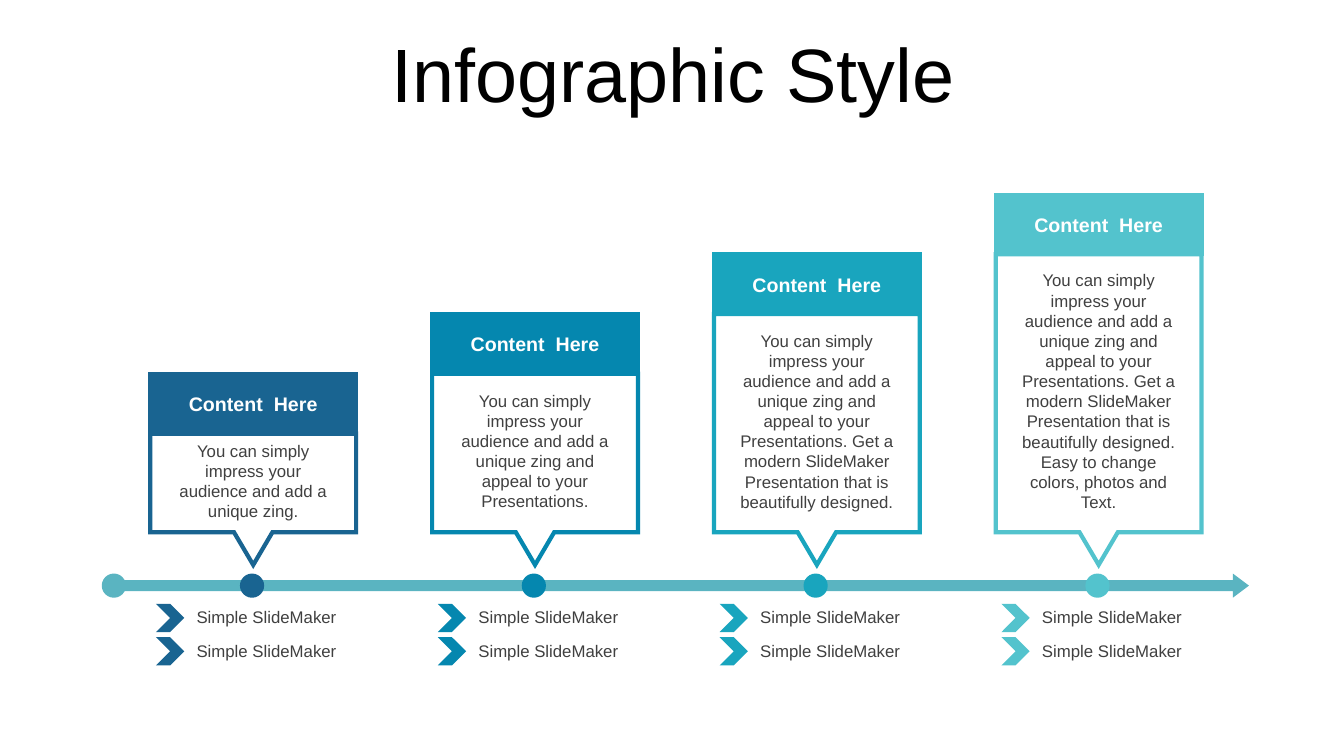
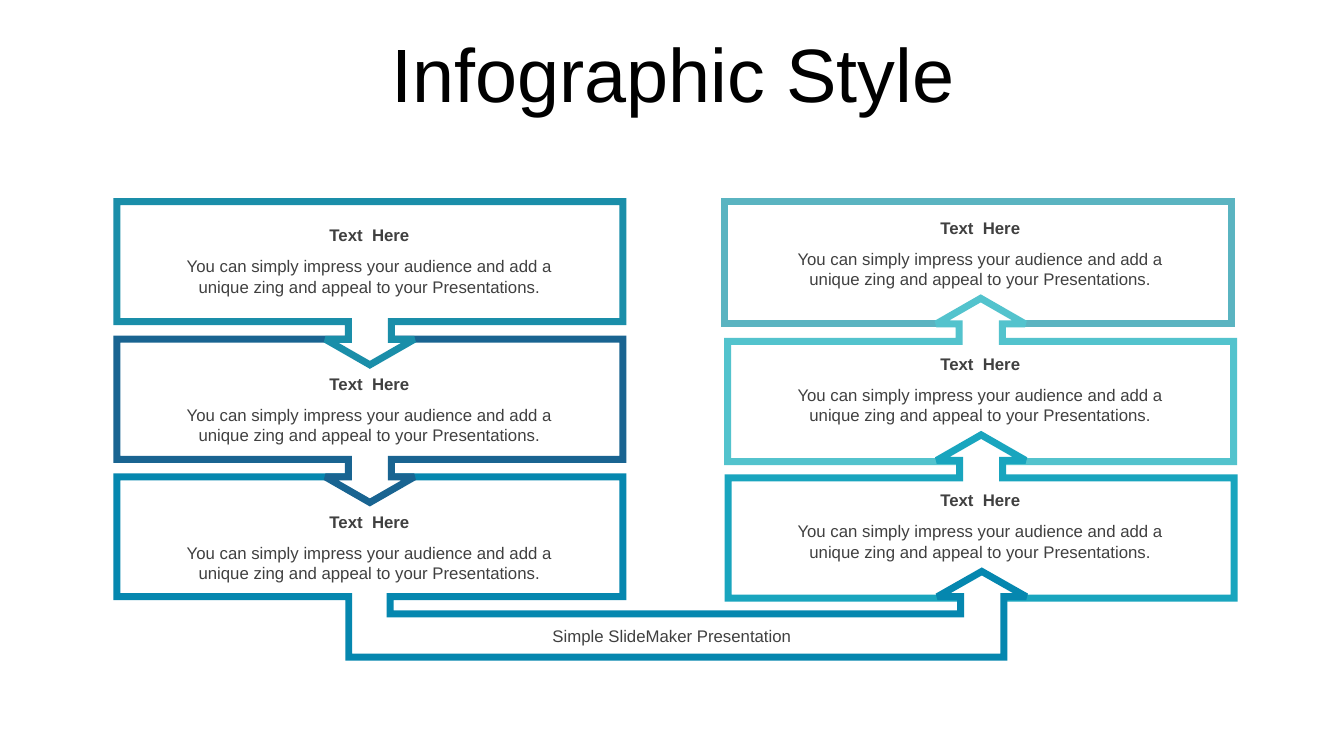
from dataclasses import dataclass

from lxml.etree import SubElement
from pptx import Presentation
from pptx.dml.color import RGBColor
from pptx.enum.shapes import MSO_SHAPE as Preset
from pptx.enum.text import MSO_ANCHOR as Anchor, PP_ALIGN as Align
from pptx.oxml.ns import qn
from pptx.util import Pt


@dataclass(frozen=True)
class Theme:
    font: str = "Arial"
    navy: str = "196491"
    blue: str = "0587AF"
    ocean: str = "1A8EA9"
    teal: str = "19A5BE"
    aqua: str = "53C3CD"
    mist: str = "5AB4C1"
    ink: str = "404040"
    black: str = "000000"
    white: str = "FFFFFF"
    title_size: int = 54
    heading_size: int = 14
    body_size: int = 12
    card_line: int = 3
    flow_line: int = 5


THEME = Theme()

PITCH = "You can simply impress your audience and add a unique zing"
APPEAL = PITCH + " and appeal to your Presentations."
DESIGNED = APPEAL + " Get a modern SlideMaker Presentation that is beautifully designed."
EASY = DESIGNED + " Easy to change colors, photos and Text."
STAGES = [
    (THEME.navy, PITCH + "."),
    (THEME.blue, APPEAL),
    (THEME.teal, DESIGNED),
    (THEME.aqua, EASY),
]

CARD_LEFT, CARD_PITCH, CARD_WIDTH = 107.4, 201.3, 147
HEADER_TOP, HEADER_RISE, HEADER_HEIGHT = 267.2, 42.7, 42.5
CARD_BOTTOM, POINTER_TIP, POINTER_HALF = 380.2, 403.5, 13.7
AXIS_TOP, AXIS_HEIGHT = 409.7, 17.3

FLOW_LEFT, FLOW_RIGHT = 83.5, 519.8
FLOW_WIDTH, FLOW_HEIGHT = 361.4, 116.6
FLOW_TOP, FLOW_PITCH = 144, 98.3
CALLOUT_ADJUSTMENTS = (0.264, 0.272, 0.156, 0.736)


def paint(shape, fill=None, line=None, weight=0):
    """Set fill and mitred outline; None leaves either one out."""
    shape.shadow.inherit = False
    if fill:
        shape.fill.solid()
        shape.fill.fore_color.rgb = RGBColor.from_string(fill)
    else:
        shape.fill.background()
    if line:
        shape.line.color.rgb = RGBColor.from_string(line)
        shape.line.width = Pt(weight)
        SubElement(shape.line._get_or_add_ln(), qn("a:miter"), lim="800000")
    else:
        shape.line.fill.background()
    return shape


def add_preset(slide, preset, box, adjustments=(), **look):
    shape = slide.shapes.add_shape(preset, *map(Pt, box))
    for index, value in enumerate(adjustments):
        shape.adjustments[index] = value
    return paint(shape, **look)


def add_outline(slide, points, **look):
    start, *rest = [(Pt(x), Pt(y)) for x, y in points]
    builder = slide.shapes.build_freeform(*start)
    builder.add_line_segments(rest, close=True)
    return paint(builder.convert_to_shape(), **look)


def write(paragraph, text, size=THEME.body_size, color=THEME.ink, bold=False):
    paragraph.alignment = Align.CENTER
    run = paragraph.add_run()
    run.text = text
    run.font.name = THEME.font
    run.font.size = Pt(size)
    run.font.bold = bold
    run.font.color.rgb = RGBColor.from_string(color)


def add_text(slide, box, text, anchor=Anchor.TOP, **style):
    frame = slide.shapes.add_textbox(*map(Pt, box)).text_frame
    frame.word_wrap = True
    frame.vertical_anchor = anchor
    write(frame.paragraphs[0], text, **style)
    return frame


def add_titled_slide(deck, title):
    slide = deck.slides.add_slide(deck.slide_layouts[6])
    frame = add_text(slide, (25.2, 22.3, 911.5, 66.2), title, Anchor.MIDDLE,
                     size=THEME.title_size, color=THEME.black)
    frame.paragraphs[0].line_spacing = 0.9
    frame.paragraphs[0].space_before = Pt(10)
    return slide


def add_card(slide, left, top, color, text):
    """Draw a header band over a framed text that points down at the axis."""
    right, center = left + CARD_WIDTH, left + CARD_WIDTH / 2
    body_top = top + HEADER_HEIGHT
    outline = [
        (left, body_top), (right, body_top), (right, CARD_BOTTOM),
        (center + POINTER_HALF, CARD_BOTTOM), (center, POINTER_TIP),
        (center - POINTER_HALF, CARD_BOTTOM), (left, CARD_BOTTOM),
    ]
    add_outline(slide, outline, line=color, weight=THEME.card_line)
    header = add_preset(slide, Preset.RECTANGLE, (left, top, CARD_WIDTH, HEADER_HEIGHT),
                        fill=color, line=color, weight=THEME.card_line)
    header.text_frame.vertical_anchor = Anchor.MIDDLE
    write(header.text_frame.paragraphs[0], "Content  Here",
          THEME.heading_size, THEME.white, bold=True)
    text_width = 125.4
    add_text(slide, (center - text_width / 2, body_top, text_width, 377 - body_top),
             text, Anchor.MIDDLE)


def add_milestone(slide, left, color):
    add_preset(slide, Preset.OVAL, (left, AXIS_TOP, AXIS_HEIGHT, AXIS_HEIGHT), fill=color)


def add_chevron_item(slide, left, top, color):
    add_preset(slide, Preset.CHEVRON, (left, top, 20.2, 20.2), fill=color)
    add_text(slide, (left + 19.6, top - 1.2, 118.8, 21.8), "Simple SlideMaker")


def build_timeline(deck):
    slide = add_titled_slide(deck, "Infographic Style")
    add_preset(slide, Preset.RIGHT_ARROW, (87.1, AXIS_TOP, 805, AXIS_HEIGHT),
               (0.451, 0.666), fill=THEME.mist)
    add_milestone(slide, 72.7, THEME.mist)
    for step, (color, text) in enumerate(STAGES):
        left = CARD_LEFT + step * CARD_PITCH
        add_card(slide, left, HEADER_TOP - step * HEADER_RISE, color, text)
        add_milestone(slide, left + 64, color)
        for row in range(2):
            add_chevron_item(slide, left + 4, 431.3 + row * 23.8, color)


def add_flow_box(slide, left, top, color, upward=False):
    box = add_preset(slide, Preset.DOWN_ARROW_CALLOUT,
                     (left, top, FLOW_WIDTH, FLOW_HEIGHT), CALLOUT_ADJUSTMENTS,
                     fill=THEME.white, line=color, weight=THEME.flow_line)
    box.rotation = 180 if upward else 0


def add_bridge(slide):
    """Draw the last left box with its channel rising into the right column."""
    left, right = FLOW_LEFT, FLOW_LEFT + FLOW_WIDTH
    top, bottom = FLOW_TOP + 2 * FLOW_PITCH, 426.2
    channel_top, channel_bottom = 438.5, 469.4
    outline = [
        (left, top), (right, top), (right, bottom),
        (278.6, bottom), (278.6, channel_top),
        (686.2, channel_top), (686.2, bottom),
        (669.6, bottom), (701.3, 408.2), (733, bottom),
        (717.1, bottom), (717.1, channel_bottom),
        (249.1, channel_bottom), (249.1, bottom), (left, bottom),
    ]
    add_outline(slide, outline, fill=THEME.white, line=THEME.blue, weight=THEME.flow_line)


def add_message(slide, left, top):
    frame = add_text(slide, (left, top, 298.8, 58), "Text  Here", bold=True)
    detail = frame.add_paragraph()
    detail.space_before = Pt(8)
    write(detail, APPEAL)


def build_flow(deck):
    slide = add_titled_slide(deck, "Infographic Style")
    add_preset(slide, Preset.RECTANGLE, (517.7, FLOW_TOP, 362.2, 87.1),
               fill=THEME.white, line=THEME.mist, weight=THEME.flow_line)
    add_flow_box(slide, FLOW_RIGHT, 213.1, THEME.aqua, upward=True)
    add_flow_box(slide, FLOW_RIGHT + 0.3, 310.6, THEME.teal, upward=True)
    add_bridge(slide)
    add_flow_box(slide, FLOW_LEFT, FLOW_TOP + FLOW_PITCH, THEME.navy)
    add_flow_box(slide, FLOW_LEFT, FLOW_TOP, THEME.ocean)
    for left, tops in ((114.5, (157, 263.3, 361.7)), (550.8, (151.9, 249.1, 346.3))):
        for top in tops:
            add_message(slide, left, top)
    add_text(slide, (350, 442, 260, 23.8), "Simple SlideMaker Presentation", Anchor.MIDDLE)


def main():
    deck = Presentation()
    deck.slide_width, deck.slide_height = Pt(960), Pt(540)
    build_timeline(deck)
    build_flow(deck)
    deck.save("out.pptx")


if __name__ == "__main__":
    main()
